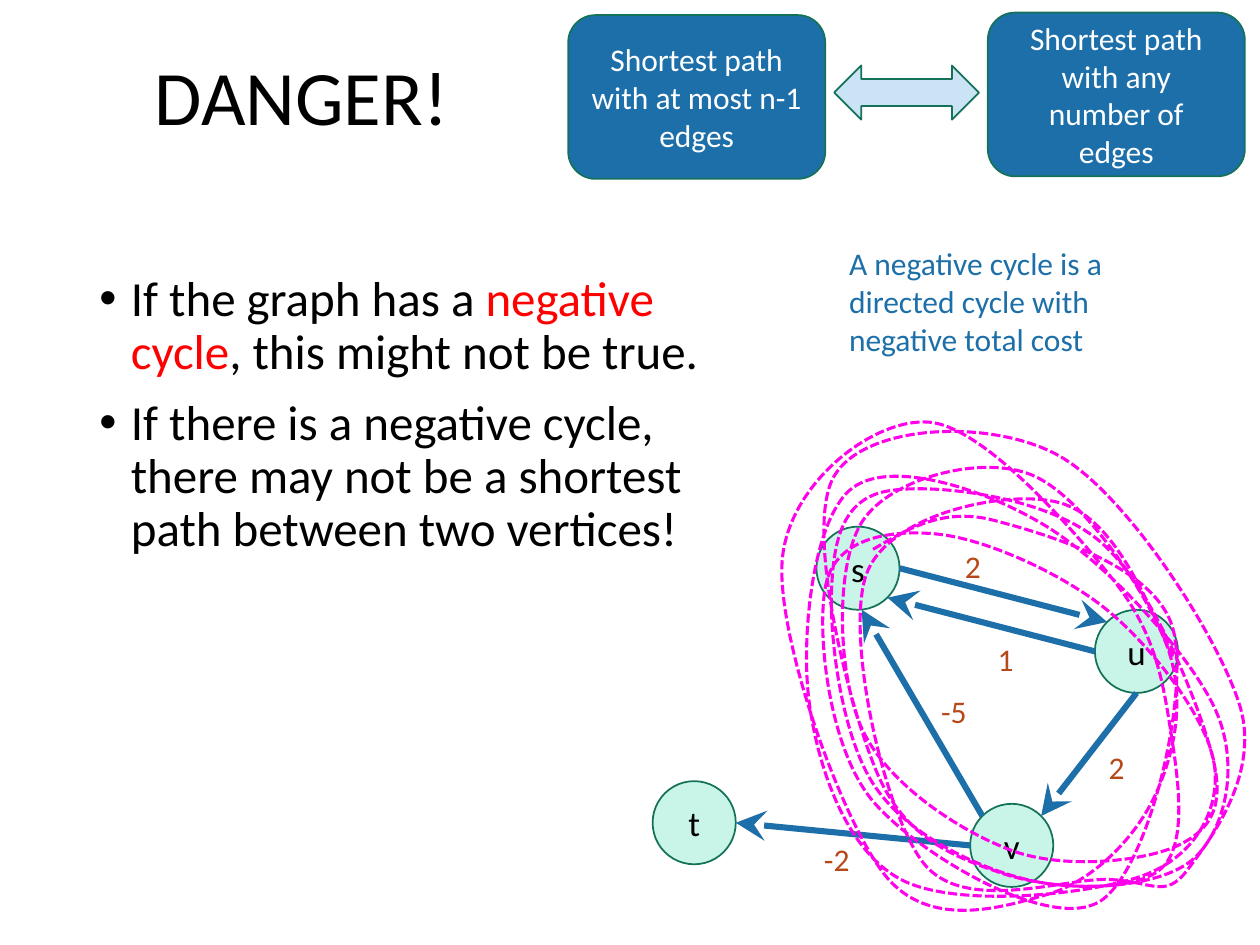
from math import cos, radians, sin

from lxml import etree
from pptx import Presentation, util as u
from pptx.dml.color import RGBColor
from pptx.enum import dml, shapes, text
from pptx.oxml.ns import qn

# The slide is a grid of 100 columns by 75 rows of square cells
CELL = u.Inches(0.1)
COLS, ROWS = 100, 75
FONT = "Calibri"

BLACK = RGBColor(0x00, 0x00, 0x00)
WHITE = RGBColor(0xFF, 0xFF, 0xFF)
RED = RGBColor(0xFF, 0x00, 0x00)
BLUE = RGBColor(0x1D, 0x6F, 0xA9)
PALE_BLUE = RGBColor(0xCA, 0xE4, 0xF6)
MINT = RGBColor(0xC8, 0xF5, 0xE8)
GREEN = RGBColor(0x15, 0x72, 0x59)
RUST = RGBColor(0xB7, 0x49, 0x19)
MAGENTA = RGBColor(0xFF, 0x00, 0xEB)

DIAMETER = 6.6
NODES = {"t": (51.8, 62), "s": (64.8, 41.8), "u": (86.9, 48.4), "v": (77, 63.8)}

# Start node and angle, end node and angle; degrees clockwise from the right
EDGES = [
    ("v", 180, "t", 0),
    ("s", 0, "u", 225),
    ("u", 90, "v", 315),
    ("u", 180, "s", 45),
    ("v", 225, "s", 85),
]
COSTS = [("-2", 64.4, 66.2), ("2", 75.6, 42.9), ("2", 87, 58.9),
         ("1", 78.2, 50.3), ("-5", 73.7, 54.4)]

# Points that the endless walk around the cycle passes through
WALK = [
    (69.3, 43.6), (78.9, 41.3), (93.1, 49.9), (87.2, 71.6), (69.3, 63.6),
    (65.6, 46.2), (74.5, 42.4), (88.1, 48.6), (96.4, 60.8), (90.7, 69.5),
    (71.5, 69.8), (64.2, 55.5), (67.7, 38.7), (83.1, 41.8), (96.5, 56.4),
    (94.8, 68.1), (81.9, 69.9), (69.5, 62.5), (66, 47), (70.3, 39),
    (87.1, 42.8), (96.2, 59.9), (93.5, 67.1), (80.3, 67.5), (68.4, 57.8),
    (68.5, 41.3), (81.9, 37.7), (92.6, 51.2), (91.6, 63.3), (83.1, 71),
    (70.2, 69.4), (62.1, 44.3), (73.7, 33.5), (88.5, 46.2), (92.9, 57.9),
    (92.1, 69), (79.5, 69.3), (69.6, 61.3), (66.2, 37.8), (84.1, 36.2),
    (98.4, 56), (94.2, 69.1), (87.9, 69.8), (73.3, 68.5), (68.8, 45.5),
    (84.1, 39.9), (93.1, 52.2),
]


def cells(*counts):
    return [u.Emu(round(n * CELL)) for n in counts]


def style_run(r, size, color):
    r.font.name, r.font.size = FONT, u.Pt(size)
    r.font.color.rgb = color


def add_text(s, box, content, size, color):
    tf = s.shapes.add_textbox(*cells(*box)).text_frame
    tf.word_wrap = True
    tf.text = content
    style_run(tf.paragraphs[0].runs[0], size, color)
    return tf


def add_shape(s, kind, box, fill, content="", size=18, color=WHITE):
    sp = s.shapes.add_shape(kind, *cells(*box))
    sp.shadow.inherit = False
    sp.fill.solid()
    sp.fill.fore_color.rgb = fill
    sp.line.color.rgb, sp.line.width = GREEN, u.Pt(1)
    if content:
        tf = sp.text_frame
        tf.text = content
        tf.vertical_anchor = text.MSO_ANCHOR.MIDDLE
        tf.paragraphs[0].alignment = text.PP_ALIGN.CENTER
        style_run(tf.paragraphs[0].runs[0], size, color)


def add_bullets(s, box, paragraphs, size):
    tf = s.shapes.add_textbox(*cells(*box)).text_frame
    tf.word_wrap = True
    for i, runs in enumerate(paragraphs):
        p = tf.add_paragraph() if i else tf.paragraphs[0]
        pPr = p._p.get_or_add_pPr()
        pPr.set("marL", str(u.Inches(0.25)))
        pPr.set("indent", str(-u.Inches(0.25)))
        etree.SubElement(pPr, qn("a:buFont")).set("typeface", "Arial")
        etree.SubElement(pPr, qn("a:buChar")).set("char", "•")
        p.line_spacing = 0.9
        p.space_before = u.Pt(10 if i else 0)
        for content, color in runs:
            r = p.add_run()
            r.text = content
            style_run(r, size, color)


def rim(node, angle):
    """Point on a node's circle at the given angle."""
    left, top = NODES[node]
    radius = DIAMETER / 2
    return (left + radius * (1 + cos(radians(angle))),
            top + radius * (1 + sin(radians(angle))))


def add_edge(s, start, start_angle, end, end_angle):
    points = rim(start, start_angle) + rim(end, end_angle)
    line = s.shapes.add_connector(shapes.MSO_CONNECTOR.STRAIGHT, *cells(*points))
    line.line.color.rgb, line.line.width = BLUE, u.Pt(3.5)
    tail = etree.SubElement(line.line._get_or_add_ln(), qn("a:tailEnd"))
    for key, value in (("type", "stealth"), ("w", "lg"), ("len", "lg")):
        tail.set(key, value)
    etree.SubElement(line._element.spPr, qn("a:effectLst"))


def handles(knots):
    """Bezier handles of each span; a sixth of the way between neighbours."""
    for i, (a, b) in enumerate(zip(knots, knots[1:])):
        out = back = None
        if i > 0:
            out = [p + (q - o) / 6 for o, p, q in zip(knots[i - 1], a, b)]
        if i + 2 < len(knots):
            back = [q - (r - p) / 6 for p, q, r in zip(a, b, knots[i + 2])]
        # An open end aims at the other handle
        yield (out or [(p + q) / 2 for p, q in zip(a, back)],
               back or [(p + q) / 2 for p, q in zip(out, b)])


def add_walk(s, knots):
    builder = s.shapes.build_freeform(*cells(*knots[0]), scale=1.0)
    builder.add_line_segments([cells(*knot) for knot in knots[1:]], close=False)
    sp = builder.convert_to_shape()
    sp.shadow.inherit = False
    sp.fill.background()
    sp.line.color.rgb, sp.line.width = MAGENTA, u.Pt(1.75)
    sp.line.dash_style = dml.MSO_LINE.SQUARE_DOT

    # Bend each straight span into a curve
    spans = list(sp._element.iter(qn("a:lnTo")))
    for span, pair in zip(spans, handles(knots)):
        span.tag = qn("a:cubicBezTo")
        for i, handle in enumerate(pair):
            x, y = cells(*handle)
            pt = etree.Element(qn("a:pt"), x=str(x - sp.left), y=str(y - sp.top))
            span.insert(i, pt)


def main():
    prs = Presentation()
    prs.slide_width, prs.slide_height = cells(COLS, ROWS)
    s = prs.slides.add_slide(prs.slide_layouts[6])

    # Title and bullets
    title = add_text(s, (11.3, 0.7, 86.2, 14.5), "DANGER!", 44, BLACK)
    title.vertical_anchor = text.MSO_ANCHOR.MIDDLE
    title.paragraphs[0].line_spacing = 0.9
    add_bullets(s, (6.9, 21.3, 51.1, 47.6), [
        [("If the graph has a ", BLACK), ("negative cycle", RED),
         (", this might not be true.", BLACK)],
        [("If there is a negative cycle, there may not be a shortest path "
          "between two vertices!", BLACK)],
    ], 28)

    # Graph with its costs
    for name, corner in NODES.items():
        add_shape(s, shapes.MSO_SHAPE.OVAL, (*corner, DIAMETER, DIAMETER),
                  MINT, name, 20, BLACK)
    for edge in EDGES:
        add_edge(s, *edge)
    for cost, left, top in COSTS:
        add_text(s, (left, top, 5.5, 4), cost, 18, RUST)
    add_walk(s, WALK)

    # The two problems and the arrow between them
    for left, top, content in (
            (45.1, 1.2, "Shortest path with at most n-1 edges"),
            (78.4, 1, "Shortest path with any number of edges")):
        add_shape(s, shapes.MSO_SHAPE.ROUNDED_RECTANGLE, (left, top, 20.4, 13),
                  BLUE, content)
    add_shape(s, shapes.MSO_SHAPE.LEFT_RIGHT_ARROW, (66.2, 5.2, 11.5, 4.3), PALE_BLUE)

    # Definition
    add_text(s, (66.4, 18.9, 23.5, 10.1),
             "A negative cycle is a directed cycle with negative total cost", 18, BLUE)

    prs.save("out.pptx")


if __name__ == "__main__":
    main()
